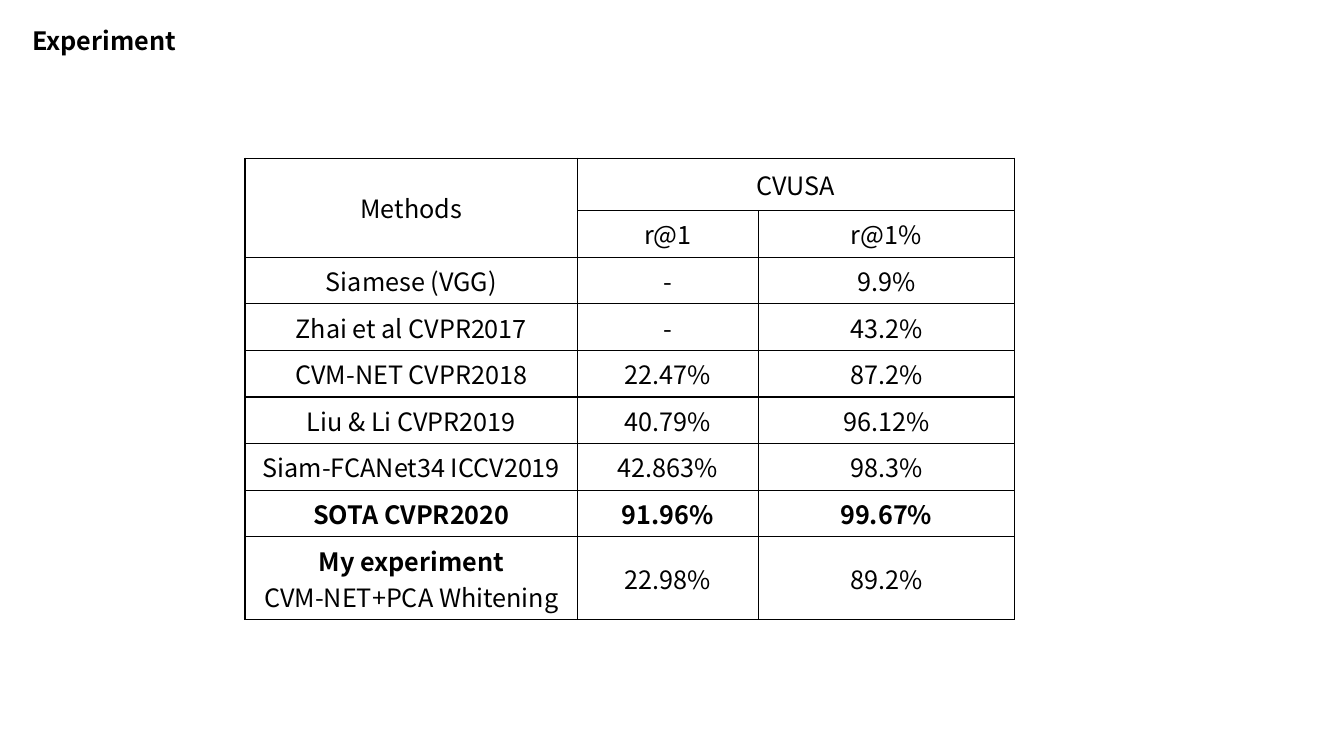
from lxml import etree
from pptx import Presentation
from pptx import util as u
from pptx.dml.color import RGBColor
from pptx.enum import text
from pptx.oxml import ns

INK = "000000"
FONT = {"name": "Noto Sans CJK SC", "size": u.Pt(18)}
COLUMNS = [3.3, 1.79, 2.54]
ROWS = [0.52] + [0.39] * 7 + [0.63]
BOLD = {"SOTA CVPR2020", "91.96%", "99.67%", "My experiment"}
RESULTS = [
    ["Methods", "CVUSA", ""],
    ["", "r@1", "r@1%"],
    ["Siamese (VGG)", "-", "9.9%"],
    ["Zhai et al CVPR2017", "-", "43.2%"],
    ["CVM-NET CVPR2018", "22.47%", "87.2%"],
    ["Liu & Li CVPR2019", "40.79%", "96.12%"],
    ["Siam-FCANet34 ICCV2019", "42.863%", "98.3%"],
    ["SOTA CVPR2020", "91.96%", "99.67%"],
    ["My experiment\nCVM-NET+PCA Whitening", "22.98%", "89.2%"],
]


def write(paragraph, wording, bold):
    run = paragraph.add_run()
    run.text = wording
    for attribute, value in {**FONT, "bold": bold}.items():
        setattr(run.font, attribute, value)
    run.font.color.rgb = RGBColor.from_string(INK)


def outline(cell):
    properties = cell._tc.get_or_add_tcPr()
    for side in ("a:lnL", "a:lnR", "a:lnT", "a:lnB"):
        line = etree.SubElement(properties, ns.qn(side), w=str(u.Pt(1)))
        fill = etree.SubElement(line, ns.qn("a:solidFill"))
        etree.SubElement(fill, ns.qn("a:srgbClr"), val=INK)


deck = Presentation()
deck.slide_width, deck.slide_height = u.Inches(13.33), u.Inches(7.5)
slide = deck.slides.add_slide(deck.slide_layouts[6])

results = slide.shapes.add_table(
    len(ROWS), len(COLUMNS), u.Inches(2.43), u.Inches(1.57),
    u.Inches(sum(COLUMNS)), u.Inches(sum(ROWS))).table
for flag in ("first_row", "horz_banding"):
    setattr(results, flag, False)
for column, width in zip(results.columns, COLUMNS):
    column.width = u.Inches(width)
for row, height in zip(results.rows, ROWS):
    row.height = u.Inches(height)

results.cell(0, 0).merge(results.cell(1, 0))
results.cell(0, 1).merge(results.cell(0, 2))
for r, entries in enumerate(RESULTS):
    for c, entry in enumerate(entries):
        cell = results.cell(r, c)
        cell.vertical_anchor = text.MSO_ANCHOR.MIDDLE
        outline(cell)
        cell.fill.background()
        if cell.is_spanned:
            continue
        for i, wording in enumerate(entry.split("\n")):
            frame = cell.text_frame
            paragraph = frame.add_paragraph() if i else frame.paragraphs[0]
            paragraph.alignment = text.PP_ALIGN.CENTER
            write(paragraph, wording, wording in BOLD)

heading = slide.shapes.add_textbox(
    u.Inches(0.22), u.Inches(0.2), deck.slide_width // 2, u.Inches(0.4)).text_frame
heading.word_wrap = True
heading.vertical_anchor = text.MSO_ANCHOR.MIDDLE
write(heading.paragraphs[0], "Experiment", True)

deck.save("out.pptx")
